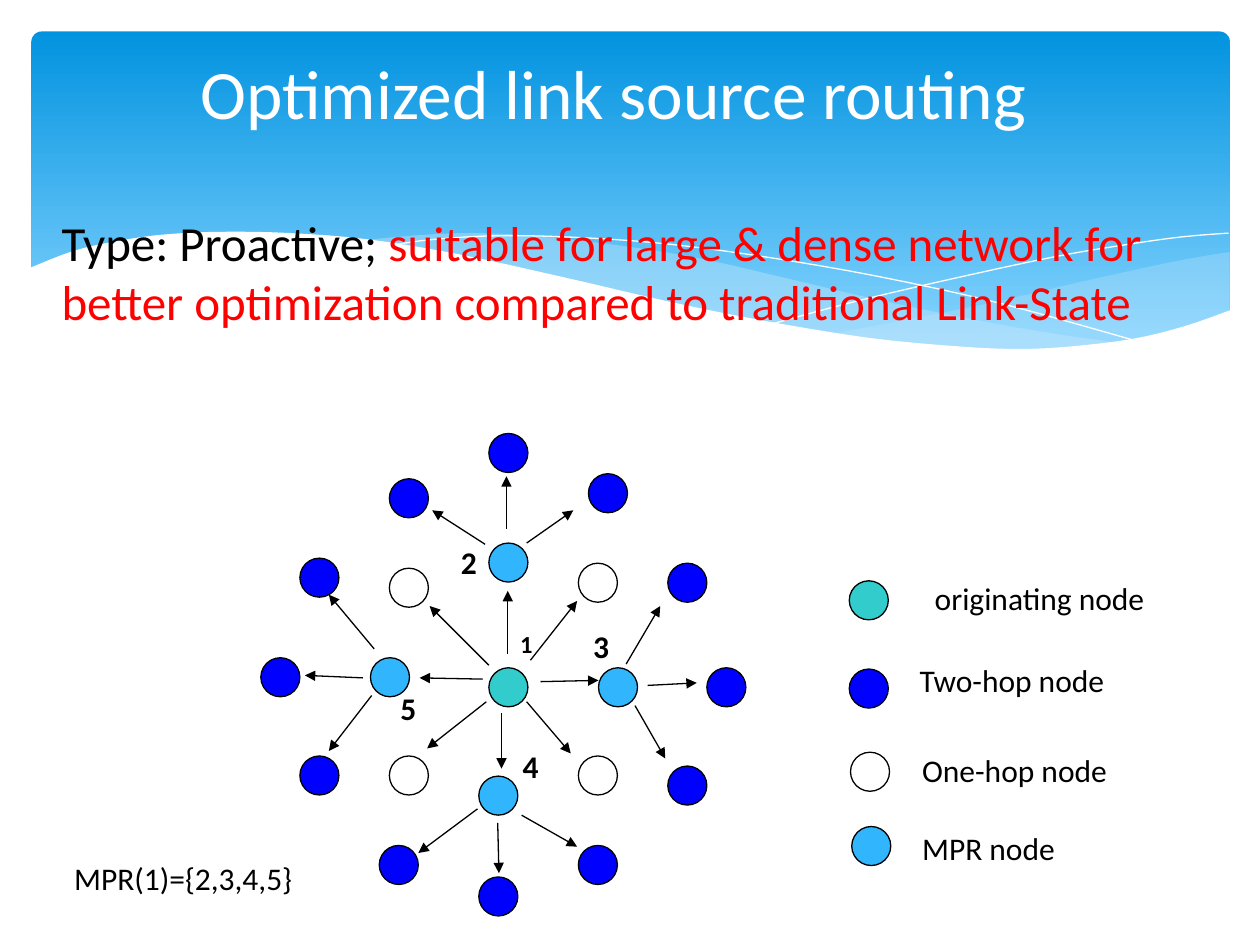
from dataclasses import dataclass
from typing import Optional

from lxml.etree import SubElement
from pptx import Presentation
from pptx.dml.color import RGBColor
from pptx.enum.shapes import MSO_CONNECTOR as Connector, MSO_SHAPE as Preset
from pptx.enum.text import MSO_ANCHOR as Anchor, PP_ALIGN as Align
from pptx.oxml.ns import qn
from pptx.util import Inches, Pt

BLACK = RGBColor(0x00, 0x00, 0x00)
WHITE = RGBColor(0xFF, 0xFF, 0xFF)
RED = RGBColor(0xFF, 0x00, 0x00)
PALE = RGBColor(0xC6, 0xE7, 0xFC)
BANNER_TOP = RGBColor(0x02, 0x93, 0xE0)
BANNER_END = RGBColor(0x83, 0xD3, 0xFE)
ORIGIN = RGBColor(0x33, 0xCC, 0xCC)
MPR = RGBColor(0x31, 0xB6, 0xFD)
TWO_HOP = RGBColor(0x00, 0x00, 0xFF)
ONE_HOP = None
NODE_SIZE = 0.31
LINE_WIDTH = Pt(0.75)


@dataclass
class Wave:
    edges: list  # smooth runs of points, joined by straight segments
    fill: Optional[RGBColor] = None
    alpha: int = 100


@dataclass
class Node:
    color: Optional[RGBColor]
    left: float
    top: float


@dataclass
class Arrow:
    start: tuple
    end: tuple


@dataclass
class Label:
    text: str
    left: float
    top: float
    width: float
    size: int = 18
    bold: bool = False


WAVES = [
    Wave([[(9.76, 2), (9.35, 2.07), (8.61, 2.23), (7.79, 2.42), (6.61, 2.65)],
          [(6.61, 2.65), (7.19, 2.72), (7.69, 2.77), (8.14, 2.78), (8.63, 2.75),
           (9.05, 2.69), (9.42, 2.59), (9.76, 2.47)]], PALE, 29),
    Wave([[(8.93, 2.73), (8.07, 2.6), (7.06, 2.4), (6.29, 2.22), (5.69, 2.08), (5.14, 1.98),
           (4.42, 1.89), (3.8, 1.85), (3.28, 1.87), (2.86, 1.91)],
          [(2.86, 1.91), (3.62, 2.03), (4.49, 2.22), (5.3, 2.4), (6.01, 2.55), (6.65, 2.66),
           (7.22, 2.74), (7.73, 2.77), (8.18, 2.78), (8.57, 2.77), (8.93, 2.73)]], PALE, 40),
    Wave([[(3.09, 1.95), (3.44, 1.9), (4.01, 1.87), (4.69, 1.89), (5.33, 1.94), (6.08, 2.04),
           (6.95, 2.19), (7.95, 2.41), (9.07, 2.72)]]),
    Wave([[(6.13, 2.57), (6.72, 2.41), (7.48, 2.23), (8.36, 2.04), (8.95, 1.94),
           (9.38, 1.88), (9.75, 1.85)]]),
    Wave([[(9.77, 2.46), (9.4, 2.59), (8.99, 2.69), (8.5, 2.75), (8.09, 2.77), (7.61, 2.75),
           (6.88, 2.68), (6.03, 2.54), (5.29, 2.39), (4.47, 2.2), (3.65, 2.02), (2.92, 1.9),
           (2.3, 1.85), (1.77, 1.84), (1.32, 1.86), (0.95, 1.91), (0.59, 1.99), (0.23, 2.13)],
          [(0.23, 3.29), (9.77, 3.29)]], WHITE),
]

NODES = [
    Node(ORIGIN, 3.88, 5.3),
    *[Node(MPR, *spot) for spot in [(3.88, 4.31), (4.75, 5.3), (3.8, 6.16), (2.94, 5.22)]],
    *[Node(ONE_HOP, *spot) for spot in [(4.59, 4.47), (4.59, 6), (3.09, 6), (3.09, 4.51)]],
    *[Node(TWO_HOP, *spot) for spot in [
        (3.09, 3.8), (3.88, 3.44), (4.67, 3.76), (5.3, 4.47), (5.61, 5.3), (5.3, 6.08),
        (4.59, 6.71), (3.8, 6.96), (3.01, 6.71), (2.38, 6), (2.07, 5.22), (2.38, 4.43)]],
    # Legend
    Node(ORIGIN, 6.74, 4.61), Node(TWO_HOP, 6.74, 5.31),
    Node(ONE_HOP, 6.75, 5.97), Node(MPR, 6.76, 6.56),
]

ARROWS = [
    # From node 1
    Arrow((4.03, 5.19), (4.03, 4.69)), Arrow((4.21, 5.24), (4.58, 4.77)),
    Arrow((4.29, 5.41), (4.75, 5.4)), Arrow((4.18, 5.57), (4.53, 5.98)),
    Arrow((3.98, 5.66), (3.98, 6.1)), Arrow((3.86, 5.57), (3.39, 5.94)),
    Arrow((3.83, 5.39), (3.33, 5.38)), Arrow((3.88, 5.28), (3.41, 4.81)),
    # From node 2
    Arrow((3.85, 4.32), (3.43, 4.05)), Arrow((4.02, 4.2), (4.02, 3.78)),
    Arrow((4.18, 4.31), (4.55, 4.05)),
    # From node 3
    Arrow((4.97, 5.27), (5.24, 4.81)), Arrow((5.14, 5.44), (5.53, 5.42)),
    Arrow((5.04, 5.6), (5.28, 6.02)),
    # From node 4
    Arrow((4.14, 6.47), (4.58, 6.72)), Arrow((3.95, 6.53), (3.96, 6.93)),
    Arrow((3.79, 6.42), (3.32, 6.77)),
    # From node 5
    Arrow((2.95, 5.52), (2.61, 5.96)), Arrow((2.88, 5.38), (2.42, 5.36)),
    Arrow((2.97, 5.15), (2.61, 4.72)),
]

LABELS = [
    Label("originating node", 7.32, 4.55, 1.98),
    Label("Two-hop node", 7.2, 5.2, 1.8),
    Label("One-hop node", 7.22, 5.91, 1.8),
    Label("MPR node", 7.22, 6.53, 1.38),
    Label("1", 4.03, 4.94, 0.31, size=14, bold=True),
    Label("2", 3.56, 4.26, 0.34, bold=True),
    Label("3", 4.61, 4.93, 0.34, bold=True),
    Label("4", 4.05, 5.88, 0.34, bold=True),
    Label("5", 3.08, 5.42, 0.34, bold=True),
    Label("MPR(1)={2,3,4,5}", 0.49, 6.77, 2.14),
]


def smooth(points: list, steps: int = 4) -> list:
    """Return points along a Catmull-Rom curve through the given ones."""
    if len(points) < 3:
        return points
    padded = [points[0], *points, points[-1]]
    curve = [points[0]]
    for a, b, c, d in zip(padded, padded[1:], padded[2:], padded[3:]):
        for t in (step / steps for step in range(1, steps + 1)):
            curve.append(tuple(
                q + t * (r - p + t * (2 * p - 5 * q + 4 * r - s + t * (3 * (q - r) + s - p))) / 2
                for p, q, r, s in zip(a, b, c, d)))
    return curve


def draw_wave(page, wave: Wave) -> None:
    points = [(Inches(x), Inches(y)) for edge in wave.edges for x, y in smooth(edge)]
    builder = page.shapes.build_freeform(*points[0])
    builder.add_line_segments(points[1:], close=wave.fill is not None)
    shape = builder.convert_to_shape()
    shape.shadow.inherit = False
    if wave.fill is None:
        shape.fill.background()
        shape.line.color.rgb = WHITE
        shape.line.width = Pt(0)
        return
    shape.fill.solid()
    shape.fill.fore_color.rgb = wave.fill
    shape.line.fill.background()
    if wave.alpha < 100:
        color = shape.fill._xPr.find(qn("a:solidFill"))[0]
        SubElement(color, qn("a:alpha"), val=str(wave.alpha * 1000))


def draw_banner(page) -> None:
    banner = page.shapes.add_shape(
        Preset.ROUNDED_RECTANGLE, Inches(0.25), Inches(0.25), Inches(9.51), Inches(2.7))
    banner.adjustments[0] = 0.03
    banner.shadow.inherit = False
    banner.line.fill.background()
    banner.fill.gradient()
    banner.fill.gradient_angle = 270
    stops = zip(banner.fill.gradient_stops, (0, 0.9), (BANNER_TOP, BANNER_END))
    for stop, position, color in stops:
        stop.position = position
        stop.color.rgb = color


def draw_node(page, node: Node) -> None:
    circle = page.shapes.add_shape(Preset.OVAL, Inches(node.left), Inches(node.top),
                                   Inches(NODE_SIZE), Inches(NODE_SIZE))
    circle.shadow.inherit = False
    circle.line.color.rgb = BLACK
    circle.line.width = LINE_WIDTH
    if node.color is None:
        circle.fill.background()
    else:
        circle.fill.solid()
        circle.fill.fore_color.rgb = node.color


def draw_arrow(page, arrow: Arrow) -> None:
    ends = [Inches(value) for value in (*arrow.start, *arrow.end)]
    line = page.shapes.add_connector(Connector.STRAIGHT, *ends)
    line.line.color.rgb = BLACK
    line.line.width = LINE_WIDTH
    SubElement(line.line._get_or_add_ln(), qn("a:tailEnd"), type="triangle")
    SubElement(line._element.spPr, qn("a:effectLst"))


def add_span(para, text: str, *, size: float, color: RGBColor = BLACK, bold: bool = False) -> None:
    span = para.add_run()
    span.text = text
    span.font.name = "Calibri"
    span.font.size = Pt(size)
    span.font.bold = bold
    span.font.color.rgb = color


def add_box(page, left: float, top: float, width: float, height: float, wrap: bool = True):
    box = page.shapes.add_textbox(Inches(left), Inches(top), Inches(width), Inches(height))
    box.text_frame.word_wrap = wrap
    return box.text_frame


def main() -> None:
    deck = Presentation()
    deck.slide_width, deck.slide_height = Inches(10), Inches(7.5)
    page = deck.slides.add_slide(deck.slide_layouts[6])

    # Banner with waves
    draw_banner(page)
    for wave in WAVES:
        draw_wave(page, wave)

    # Title and description
    title = add_box(page, 0.43, 0.36, 9, 0.73)
    title.vertical_anchor = Anchor.MIDDLE
    title.paragraphs[0].alignment = Align.CENTER
    add_span(title.paragraphs[0], "Optimized link source routing ", size=39.6, color=WHITE)
    para = add_box(page, 0.39, 1.64, 9.61, 1.04).paragraphs[0]
    add_span(para, "Type: Proactive; ", size=28)
    add_span(para, "suitable for large & dense network for better optimization "
                   "compared to traditional Link-State", size=28, color=RED)

    # Network and legend
    for node in NODES:
        draw_node(page, node)
    for arrow in ARROWS:
        draw_arrow(page, arrow)
    for label in LABELS:
        frame = add_box(page, label.left, label.top, label.width, 0.4, wrap=False)
        add_span(frame.paragraphs[0], label.text, size=label.size, bold=label.bold)

    deck.save("out.pptx")


if __name__ == "__main__":
    main()
